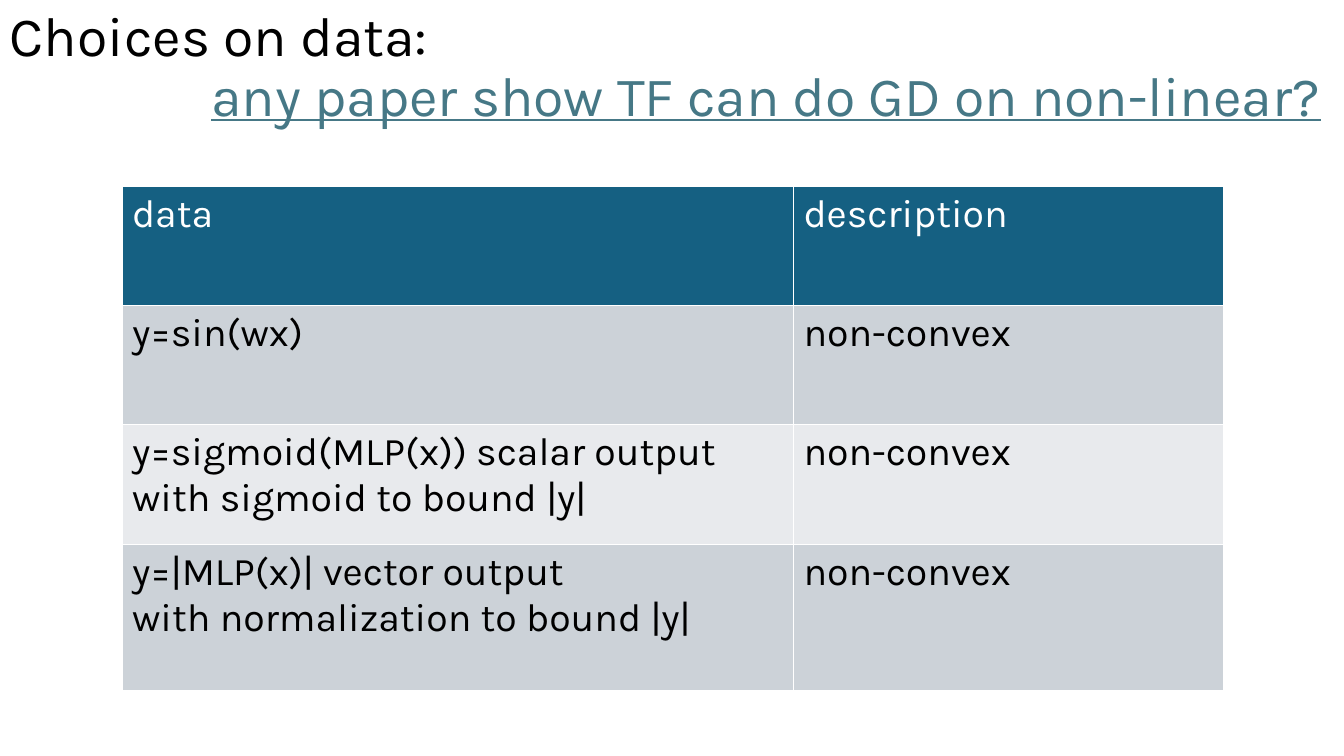
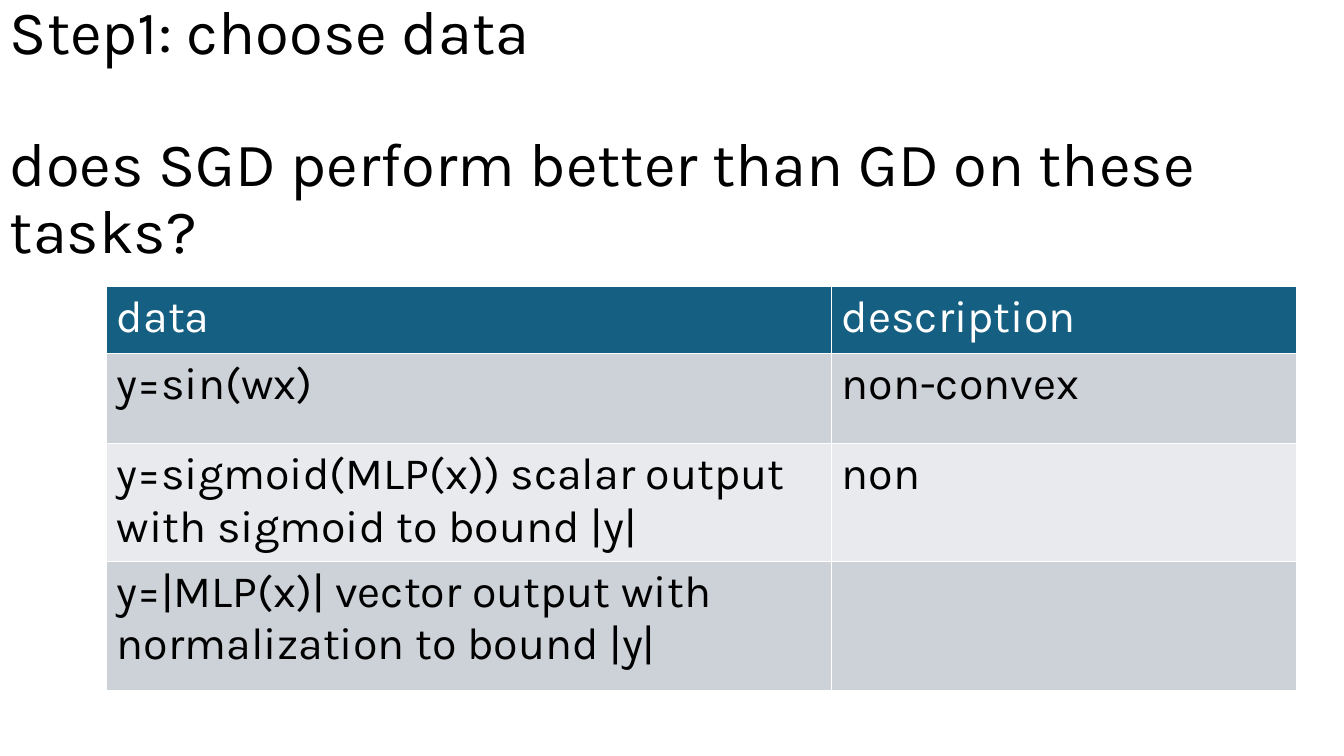
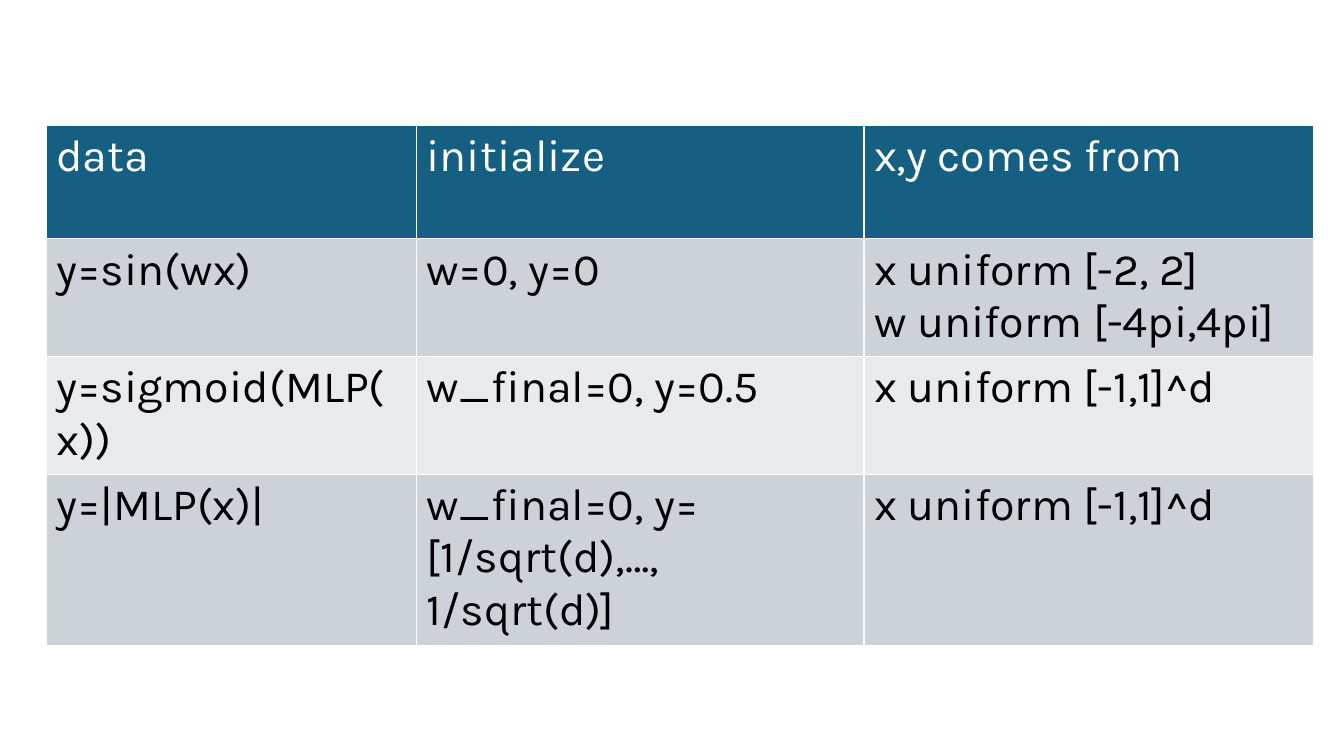
"""Build three slides on the choice of data for training tasks."""
from dataclasses import dataclass

from pptx import Presentation
from pptx.dml.color import RGBColor
from pptx.enum.text import MSO_ANCHOR as Anchor, PP_ALIGN as Align
from pptx.slide import Slide
from pptx.util import Inches, Pt

FONT = "Karla"
WHITE = RGBColor(0xFF, 0xFF, 0xFF)
BLACK = RGBColor(0x00, 0x00, 0x00)
BLUE = RGBColor(0x15, 0x60, 0x82)
TEAL = RGBColor(0x46, 0x78, 0x86)
BANDS = (RGBColor(0xCC, 0xD2, 0xD8), RGBColor(0xE8, 0xEA, 0xED))
WIDTH = 13.33


@dataclass(frozen=True)
class Line:
    text: str
    color: RGBColor = BLACK
    under: bool = False
    align: Align = Align.LEFT
    gap: float = 0


@dataclass(frozen=True)
class Title:
    height: float
    size: float
    lines: tuple[Line, ...]


@dataclass(frozen=True)
class Grid:
    left: float
    top: float
    size: float
    cols: tuple[float, ...]
    rows: tuple[float, ...]
    cells: tuple[tuple[str, ...], ...]


@dataclass(frozen=True)
class Page:
    grid: Grid
    title: Title | None = None


PAGES = (
    Page(
        Grid(1.21, 1.85, 28, (6.66, 4.27), (1.18, 1.18, 1.19, 1.45), (
            ("data", "description"),
            ("y=sin(wx)", "non-convex"),
            ("y=sigmoid(MLP(x)) scalar output\nwith sigmoid to bound |y|", "non-convex"),
            ("y=|MLP(x)| vector output\nwith normalization to bound |y|", "non-convex"),
        )),
        Title(1.36, 39.6, (
            Line("Choices on data:"),
            Line("any paper show TF can do GD on non-linear?", TEAL, True, Align.RIGHT),
        )),
    ),
    Page(
        Grid(1.06, 2.84, 32, (7.19, 4.61), (0.67, 0.89, 1.14, 1.28), (
            ("data", "description"),
            ("y=sin(wx)", "non-convex"),
            ("y=sigmoid(MLP(x)) scalar output with sigmoid to bound |y|", "non"),
            ("y=|MLP(x)| vector output with normalization to bound |y|", ""),
        )),
        Title(2.66, 44, (
            Line("Step1: choose data"),
            Line("does SGD perform better than GD on these tasks?", gap=47),
        )),
    ),
    Page(
        Grid(0.46, 1.24, 32, (3.67, 4.44, 4.46), (1.13, 1.14, 1.14, 1.66), (
            ("data", "initialize", "x,y comes from"),
            ("y=sin(wx)", "w=0, y=0", "x uniform [-2, 2]\nw uniform [-4pi,4pi]"),
            ("y=sigmoid(MLP(x))", "w_final=0, y=0.5", "x uniform [-1,1]^d"),
            ("y=|MLP(x)|", "w_final=0, y=\n[1/sqrt(d),…, 1/sqrt(d)]", "x uniform [-1,1]^d"),
        )),
    ),
)


def style(para, size: float, color: RGBColor) -> None:
    """Set the shared font on a paragraph."""
    font = para.font
    font.name, font.size, font.bold = FONT, Pt(size), False
    font.color.rgb = color


def draw_title(slide: Slide, title: Title) -> None:
    """Draw the heading across the top of the slide."""
    box = slide.shapes.add_textbox(0, 0, Inches(WIDTH), Inches(title.height))
    frame = box.text_frame
    frame.word_wrap = True
    frame.vertical_anchor = Anchor.MIDDLE
    frame.margin_right = Inches(0.23)
    for i, line in enumerate(title.lines):
        para = frame.add_paragraph() if i else frame.paragraphs[0]
        para.text = line.text
        para.alignment = line.align
        para.line_spacing = 0.9
        para.space_before = Pt(line.gap)
        style(para, title.size, line.color)
        para.font.underline = line.under


def draw_grid(slide: Slide, grid: Grid) -> None:
    """Draw a table with a blue header and banded rows."""
    table = slide.shapes.add_table(
        len(grid.rows), len(grid.cols), Inches(grid.left), Inches(grid.top),
        Inches(sum(grid.cols)), Inches(sum(grid.rows))).table
    for col, width in zip(table.columns, grid.cols):
        col.width = Inches(width)
    for r, (row, height) in enumerate(zip(table.rows, grid.rows)):
        row.height = Inches(height)
        fill, color = (BANDS[(r - 1) % 2], BLACK) if r else (BLUE, WHITE)
        for cell, text in zip(row.cells, grid.cells[r]):
            cell.text = text
            cell.fill.solid()
            cell.fill.fore_color.rgb = fill
            for para in cell.text_frame.paragraphs:
                style(para, grid.size, color)


def main() -> None:
    """Build and save the deck."""
    deck = Presentation()
    deck.slide_width, deck.slide_height = Inches(WIDTH), Inches(7.5)
    blank = deck.slide_layouts[6]
    for page in PAGES:
        slide = deck.slides.add_slide(blank)
        if page.title:
            draw_title(slide, page.title)
        draw_grid(slide, page.grid)
    deck.save("out.pptx")


if __name__ == "__main__":
    main()
